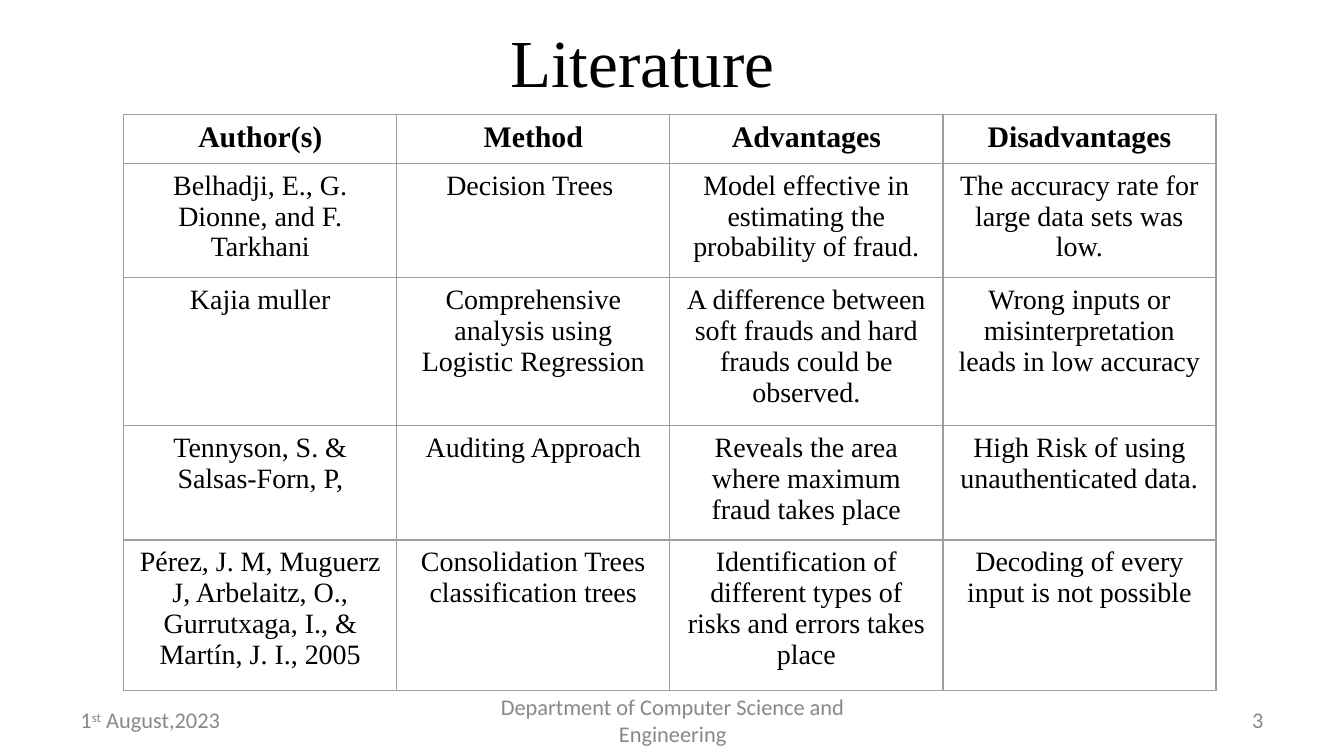
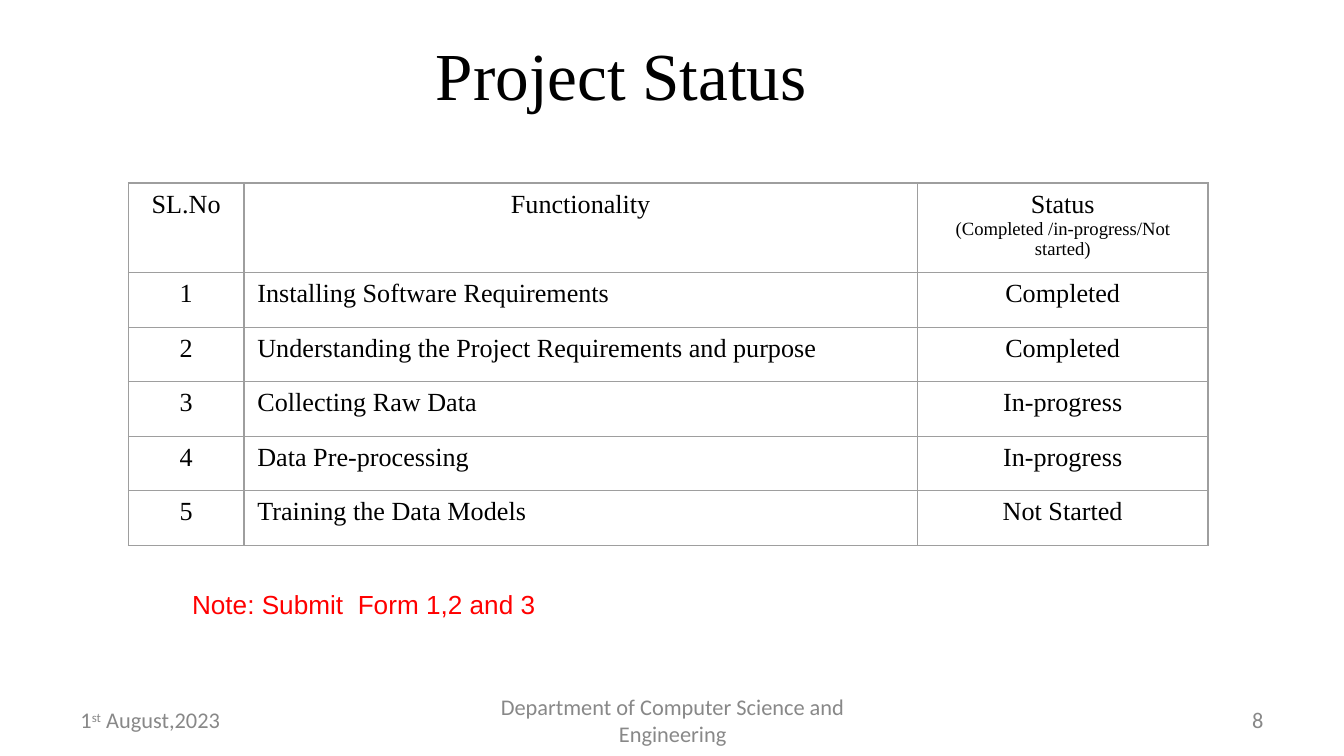
from dataclasses import dataclass

from lxml import etree
from pptx import Presentation
from pptx import util as u
from pptx.dml.color import RGBColor
from pptx.enum import text
from pptx.oxml import ns


@dataclass(frozen=True)
class Theme:
    """Fonts, colours and type sizes shared by the slides."""
    serif: str = "Times New Roman"
    sans: str = "Arial"
    footer_font: str = "Calibri"
    ink: str = "000000"
    muted: str = "888888"
    alert: str = "FF0000"
    grid: str = "9E9E9E"
    grid_pt: float = 0.75
    title: int = 36
    header: int = 16
    body: int = 15
    status: int = 14
    hint: int = 10
    footer: int = 12


T = Theme()
LEFT, CENTER, RIGHT = text.PP_ALIGN.LEFT, text.PP_ALIGN.CENTER, text.PP_ALIGN.RIGHT

# Boxes are left, top, width, height in centimetres.
SLIDE_SIZE = (25.4, 14.29)
TITLE_SIZE = (16.99, 1.75)
FOOTER_TOP, FOOTER_HEIGHT = 13.23, 0.76

DATE = ("1", "st", " August,2023")
DEPARTMENT = "Department of Computer Science and Engineering"

LITERATURE = [
    ("Author(s)", "Method", "Advantages", "Disadvantages"),
    ("Belhadji, E., G. Dionne, and F. Tarkhani",
     "Decision Trees ",
     "Model effective in estimating the probability of fraud.",
     "The accuracy rate for large data sets was low."),
    ("Kajia muller",
     "Comprehensive analysis using Logistic Regression",
     "A difference between soft frauds and hard frauds could be observed.",
     "Wrong inputs or misinterpretation leads in low accuracy"),
    ("Tennyson, S. & Salsas-Forn, P,",
     "Auditing Approach",
     "Reveals the area where maximum fraud takes place",
     "High Risk of using unauthenticated data."),
    ("Pérez, J. M, Muguerz J, Arbelaitz, O., Gurrutxaga, I., & Martín, J. I., 2005",
     "Consolidation Trees classification trees",
     "Identification of different types of risks and errors takes place",
     "Decoding of every input is not possible"),
]

STATUS_HEADER = ("SL.No", "Functionality", "Status")
STATUS_HINT = "(Completed /in-progress/Not started)"
TASKS = [
    ("Installing Software Requirements", "Completed"),
    ("Understanding the Project Requirements and purpose", "Completed"),
    ("Collecting Raw Data", "In-progress"),
    ("Data Pre-processing ", "In-progress"),
    ("Training the Data Models", "Not Started"),
]
NOTE = "Note: Submit  Form 1,2 and 3"


def add_run(p, words, size, font=T.serif, color=T.ink, bold=False):
    """Add one styled run to a paragraph."""
    r = p.add_run()
    r.text = words
    r.font.size = u.Pt(size)
    r.font.name = font
    r.font.bold = bold
    r.font.color.rgb = RGBColor.from_string(color)
    return r


def add_box(s, box, align=LEFT, anchor=text.MSO_ANCHOR.MIDDLE):
    """Add a wrapping text box and return its first paragraph."""
    tf = s.shapes.add_textbox(*map(u.Cm, box)).text_frame
    tf.word_wrap = True
    tf.vertical_anchor = anchor
    p = tf.paragraphs[0]
    p.alignment = align
    return p


def add_footers(s, number):
    """Add the date, department and slide number."""
    def footer(left, width, align):
        return add_box(s, (left, FOOTER_TOP, width, FOOTER_HEIGHT), align)

    style = (T.footer, T.footer_font, T.muted)
    day, ordinal, month = DATE
    p = footer(1.27, 5.92, LEFT)
    add_run(p, day, *style)
    r = add_run(p, ordinal, *style)
    r._r.get_or_add_rPr().set("baseline", "30000")
    add_run(p, month, *style)
    add_run(footer(8.69, 8.05, CENTER), DEPARTMENT, *style)
    add_run(footer(18.21, 5.92, RIGHT), str(number), *style)


def add_slide(prs, title, left, top, number):
    """Add a blank slide with its title and footers."""
    s = prs.slides.add_slide(prs.slide_layouts[6])
    add_run(add_box(s, (left, top, *TITLE_SIZE), CENTER), title, T.title)
    add_footers(s, number)
    return s


def style_cell(cell):
    """Give a cell thin grid lines on all sides and no fill."""
    tc_pr = cell._tc.get_or_add_tcPr()
    for side in ("lnL", "lnR", "lnT", "lnB"):
        ln = etree.SubElement(tc_pr, ns.qn("a:" + side), w=str(u.Pt(T.grid_pt)))
        fill = etree.SubElement(ln, ns.qn("a:solidFill"))
        etree.SubElement(fill, ns.qn("a:srgbClr"), val=T.grid)
    cell.fill.background()


def add_grid(s, left, top, cols, heights, rows, sizes, aligns, bold_header=False):
    """Add a table; sizes holds the header and body type sizes."""
    box = map(u.Cm, (left, top, sum(cols), sum(heights)))
    table = s.shapes.add_table(len(rows), len(cols), *box).table
    table.first_row = table.horz_banding = False
    for column, width in zip(table.columns, cols):
        column.width = u.Cm(width)
    for i, (row, height, words) in enumerate(zip(table.rows, heights, rows)):
        row.height = u.Cm(height)
        for cell, value, align in zip(row.cells, words, aligns):
            style_cell(cell)
            p = cell.text_frame.paragraphs[0]
            p.alignment = align if i else CENTER
            add_run(p, value, sizes[min(i, 1)], bold=bold_header and i == 0)
    return table


def build_literature(prs):
    """Build the survey of earlier work."""
    s = add_slide(prs, "Literature ", 3.81, 0.28, 3)
    add_grid(s, 2.34, 2.16, [5.16] * 4, [0.85, 1.99, 2.58, 1.99, 2.84],
             LITERATURE, (T.header, T.body), [CENTER] * 4, bold_header=True)


def build_status(prs):
    """Build the task list with its status column and note."""
    s = add_slide(prs, "Project Status", 3.25, 0.51, 8)
    rows = [STATUS_HEADER] + [(str(n), *task) for n, task in enumerate(TASKS, 1)]
    table = add_grid(s, 2.43, 3.46, [2.18, 12.73, 5.49], [1.03] * len(rows),
                     rows, (T.status, T.status), (CENTER, LEFT, CENTER))
    p = table.cell(0, 2).text_frame.add_paragraph()
    p.alignment = CENTER
    add_run(p, STATUS_HINT, T.hint)
    p = add_box(s, (3.38, 11, 8.38, 0.86), anchor=text.MSO_ANCHOR.TOP)
    add_run(p, NOTE, T.status, T.sans, T.alert)


def main():
    """Build and save the presentation."""
    prs = Presentation()
    prs.slide_width, prs.slide_height = map(u.Cm, SLIDE_SIZE)
    build_literature(prs)
    build_status(prs)
    prs.save("out.pptx")


main()
